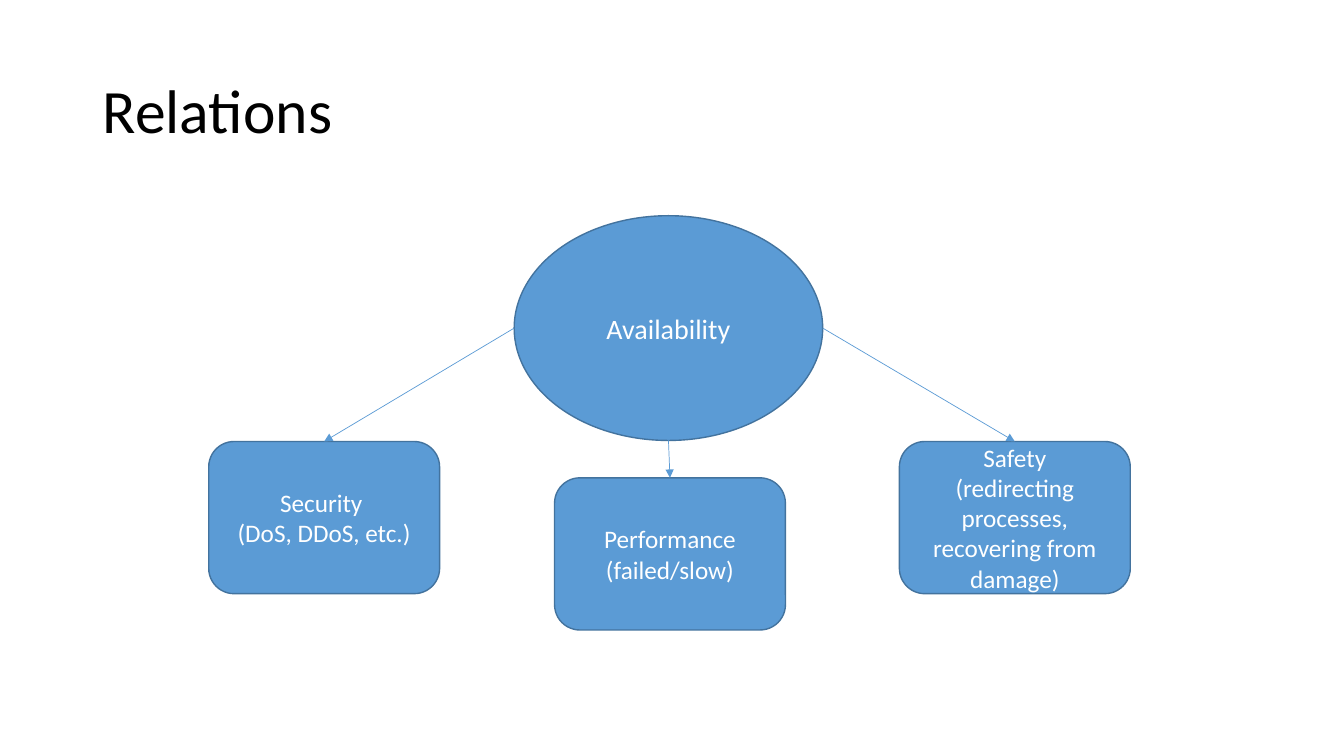
from lxml import etree
from pptx import Presentation
from pptx.dml.color import RGBColor
from pptx.enum.shapes import MSO_CONNECTOR, MSO_SHAPE
from pptx.enum.text import MSO_ANCHOR, PP_ALIGN
from pptx.oxml.ns import qn
from pptx.util import Pt

PX = 9144  # EMU per px, 100 px to the inch
FONT = "Calibri"
BLACK = RGBColor(0x00, 0x00, 0x00)
WHITE = RGBColor(0xFF, 0xFF, 0xFF)
BLUE = RGBColor(0x5B, 0x9B, 0xD5)
EDGE = RGBColor(0x43, 0x73, 0x9E)
OVAL, ROUND = MSO_SHAPE.OVAL, MSO_SHAPE.ROUNDED_RECTANGLE
STRAIGHT = MSO_CONNECTOR.STRAIGHT
LEFT, CENTER = PP_ALIGN.LEFT, PP_ALIGN.CENTER
MIDDLE = MSO_ANCHOR.MIDDLE


def write(shape, text, size, color, align):
    frame = shape.text_frame
    frame.text = text
    frame.word_wrap = True
    frame.vertical_anchor = MIDDLE
    for para in frame.paragraphs:
        para.alignment = align
        para.font.name = FONT
        para.font.size = Pt(size)
        para.font.color.rgb = color


def add_node(kind, box, text, size):
    node = slide.shapes.add_shape(kind, *(n * PX for n in box))
    node.shadow.inherit = False
    node.fill.solid()
    node.fill.fore_color.rgb = BLUE
    node.line.color.rgb = EDGE
    node.line.width = Pt(1)
    write(node, text, size, WHITE, CENTER)
    return node


prs = Presentation()
prs.slide_width, prs.slide_height = 1333 * PX, 750 * PX
slide = prs.slides.add_slide(prs.slide_layouts[5])

title = slide.shapes.title
title.left, title.top, title.width, title.height = (
    n * PX for n in (92, 40, 1150, 145))
write(title, "Relations", 44, BLACK, LEFT)
title.text_frame.paragraphs[0].line_spacing = 0.9

hub = add_node(OVAL, (510, 214, 306, 223), "Availability", 20)
mid_x, mid_y = hub.left + hub.width // 2, hub.top + hub.height // 2

# Each box: left, top, text, and the point on the oval its arrow leaves from
boxes = [
    (207, 438, "Security \n(DoS, DDoS, etc.)", (hub.left, mid_y)),
    (550, 474, "Performance\n(failed/slow)", (mid_x, hub.top + hub.height)),
    (892, 438, "Safety\n(redirecting processes, recovering from damage)",
     (hub.left + hub.width, mid_y)),
]
for left, top, text, start in boxes:
    box = add_node(ROUND, (left, top, 229, 151), text, 18)
    arrow = slide.shapes.add_connector(STRAIGHT, *start, *start)
    arrow.end_connect(box, 0)
    arrow.line.color.rgb = BLUE
    arrow.line.width = Pt(0.5)
    etree.SubElement(arrow.line._get_or_add_ln(), qn("a:tailEnd"), type="triangle")
    etree.SubElement(arrow._element.spPr, qn("a:effectLst"))

prs.save("out.pptx")
